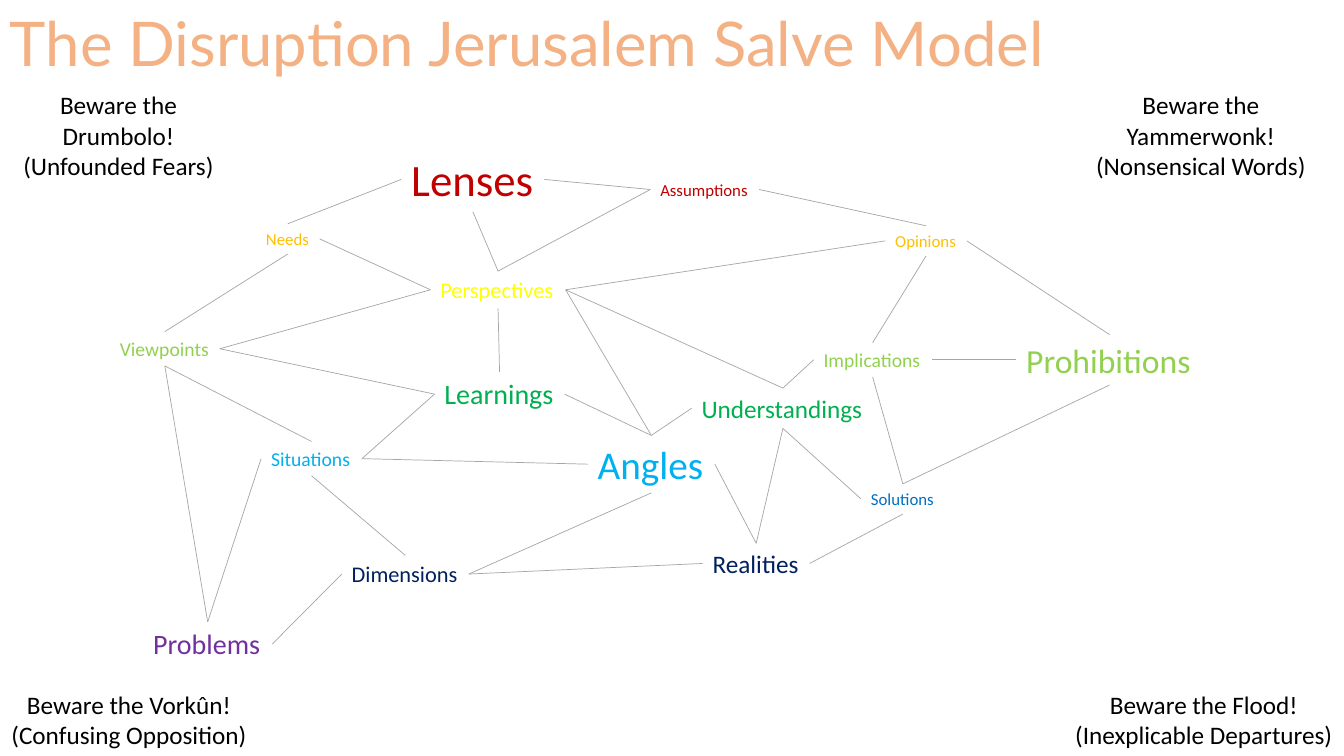
from lxml import etree
from pptx import Presentation
from pptx.dml.color import RGBColor
from pptx.enum import shapes, text
from pptx.oxml.ns import qn
from pptx.util import Inches, Pt

BLACK = RGBColor(0x00, 0x00, 0x00)
PEACH = RGBColor(0xF4, 0xB1, 0x83)
GRAY = RGBColor(0xA6, 0xA6, 0xA6)
RED = RGBColor(0xC0, 0x00, 0x00)
AMBER = RGBColor(0xFF, 0xC0, 0x00)
YELLOW = RGBColor(0xFF, 0xFF, 0x00)
LIME = RGBColor(0x92, 0xD0, 0x50)
GREEN = RGBColor(0x00, 0xB0, 0x50)
SKY = RGBColor(0x00, 0xB0, 0xF0)
BLUE = RGBColor(0x00, 0x70, 0xC0)
NAVY = RGBColor(0x00, 0x20, 0x60)
PURPLE = RGBColor(0x70, 0x30, 0xA0)

TOP, LEFT, BOTTOM, RIGHT = range(4)
WIDE, HIGH = 13.33, 7.5

deck = Presentation()
deck.slide_width = Inches(WIDE)
deck.slide_height = Inches(HIGH)
slide = deck.slides.add_slide(deck.slide_layouts[6])


def add_label(words, x, y, w, h, size, color, font="Calibri", wrap=False,
              align=text.PP_ALIGN.LEFT):
    box = slide.shapes.add_textbox(Inches(x), Inches(y), Inches(w), Inches(h))
    frame = box.text_frame
    frame.text = words
    frame.word_wrap = wrap
    frame.auto_size = text.MSO_AUTO_SIZE.SHAPE_TO_FIT_TEXT
    para = frame.paragraphs[0]
    para.alignment = align
    for run in para.runs:
        run.font.name = font
        run.font.size = Pt(size)
        run.font.color.rgb = color
    return box


add_label("The Disruption Jerusalem Salve Model", 0, 0, WIDE, 0.84, 44, PEACH,
          font="Lato", wrap=True)

ideas = [
    ("Lenses", 3.98, 1.46, 1.42, 0.64, 32, RED),
    ("Perspectives", 4.27, 2.69, 1.34, 0.37, 16, YELLOW),
    ("Angles", 5.83, 4.32, 1.26, 0.57, 28, SKY),
    ("Realities", 6.97, 5.39, 1.06, 0.4, 18, NAVY),
    ("Dimensions", 3.39, 5.51, 1.26, 0.37, 16, NAVY),
    ("Opinions", 8.78, 2.24, 0.81, 0.3, 12, AMBER),
    ("Viewpoints", 1.09, 3.29, 1.09, 0.34, 14, LIME),
    ("Understandings", 6.86, 3.85, 1.81, 0.4, 18, GREEN),
    ("Assumptions", 6.45, 1.73, 1.08, 0.3, 12, RED),
    ("Implications", 8.07, 3.4, 1.17, 0.34, 14, LIME),
    ("Situations", 2.59, 4.38, 1, 0.34, 14, SKY),
    ("Problems", 1.42, 6.17, 1.28, 0.44, 20, PURPLE),
    ("Needs", 2.54, 2.22, 0.63, 0.3, 12, AMBER),
    ("Solutions", 8.54, 4.8, 0.83, 0.3, 12, BLUE),
    ("Learnings", 4.31, 3.69, 1.29, 0.44, 20, GREEN),
    ("Prohibitions", 10.08, 3.32, 1.85, 0.5, 24, LIME),
]
nodes = {idea[0]: add_label(*idea) for idea in ideas}

links = [
    ("Lenses", BOTTOM, "Perspectives", TOP),
    ("Lenses", LEFT, "Needs", TOP),
    ("Lenses", RIGHT, "Assumptions", LEFT),
    ("Viewpoints", TOP, "Needs", BOTTOM),
    ("Viewpoints", RIGHT, "Perspectives", LEFT),
    ("Learnings", TOP, "Perspectives", BOTTOM),
    ("Perspectives", TOP, "Assumptions", LEFT),
    ("Perspectives", RIGHT, "Opinions", LEFT),
    ("Opinions", TOP, "Assumptions", RIGHT),
    ("Implications", TOP, "Opinions", BOTTOM),
    ("Prohibitions", TOP, "Opinions", RIGHT),
    ("Prohibitions", LEFT, "Implications", RIGHT),
    ("Angles", TOP, "Learnings", RIGHT),
    ("Angles", TOP, "Understandings", LEFT),
    ("Understandings", BOTTOM, "Solutions", LEFT),
    ("Understandings", TOP, "Implications", LEFT),
    ("Implications", BOTTOM, "Solutions", TOP),
    ("Prohibitions", BOTTOM, "Solutions", TOP),
    ("Situations", TOP, "Viewpoints", BOTTOM),
    ("Situations", RIGHT, "Learnings", LEFT),
    ("Situations", RIGHT, "Angles", LEFT),
    ("Dimensions", RIGHT, "Angles", BOTTOM),
    ("Dimensions", TOP, "Situations", BOTTOM),
    ("Problems", RIGHT, "Dimensions", LEFT),
    ("Problems", TOP, "Situations", LEFT),
    ("Realities", LEFT, "Dimensions", RIGHT),
    ("Realities", TOP, "Angles", RIGHT),
    ("Realities", TOP, "Understandings", BOTTOM),
    ("Realities", RIGHT, "Solutions", BOTTOM),
    ("Perspectives", LEFT, "Needs", RIGHT),
    ("Viewpoints", BOTTOM, "Problems", TOP),
    ("Learnings", LEFT, "Viewpoints", RIGHT),
    ("Angles", TOP, "Perspectives", RIGHT),
    ("Understandings", TOP, "Perspectives", RIGHT),
]
for start, side, end, edge in links:
    link = slide.shapes.add_connector(shapes.MSO_CONNECTOR.STRAIGHT, 0, 0, 0, 0)
    link.begin_connect(nodes[start], side)
    link.end_connect(nodes[end], edge)
    link.line.color.rgb = GRAY
    link.line.width = Pt(0.5)
    etree.SubElement(link._element.spPr, qn("a:effectLst"))

tall = 0.71
upper, lower = 0.84, HIGH - tall
corners = [
    ("Beware the Drumbolo!\v(Unfounded Fears)", 0, upper, 2.35),
    ("Beware the Yammerwonk!\v(Nonsensical Words)", WIDE - 2.84, upper, 2.84),
    ("Beware the Flood!\v(Inexplicable Departures)", WIDE - 2.78, lower, 2.78),
    ("Beware the Vorkûn!\v(Confusing Opposition)", 0, lower, 2.56),
]
for words, x, y, w in corners:
    add_label(words, x, y, w, tall, 18, BLACK, align=text.PP_ALIGN.CENTER)

deck.save("out.pptx")
